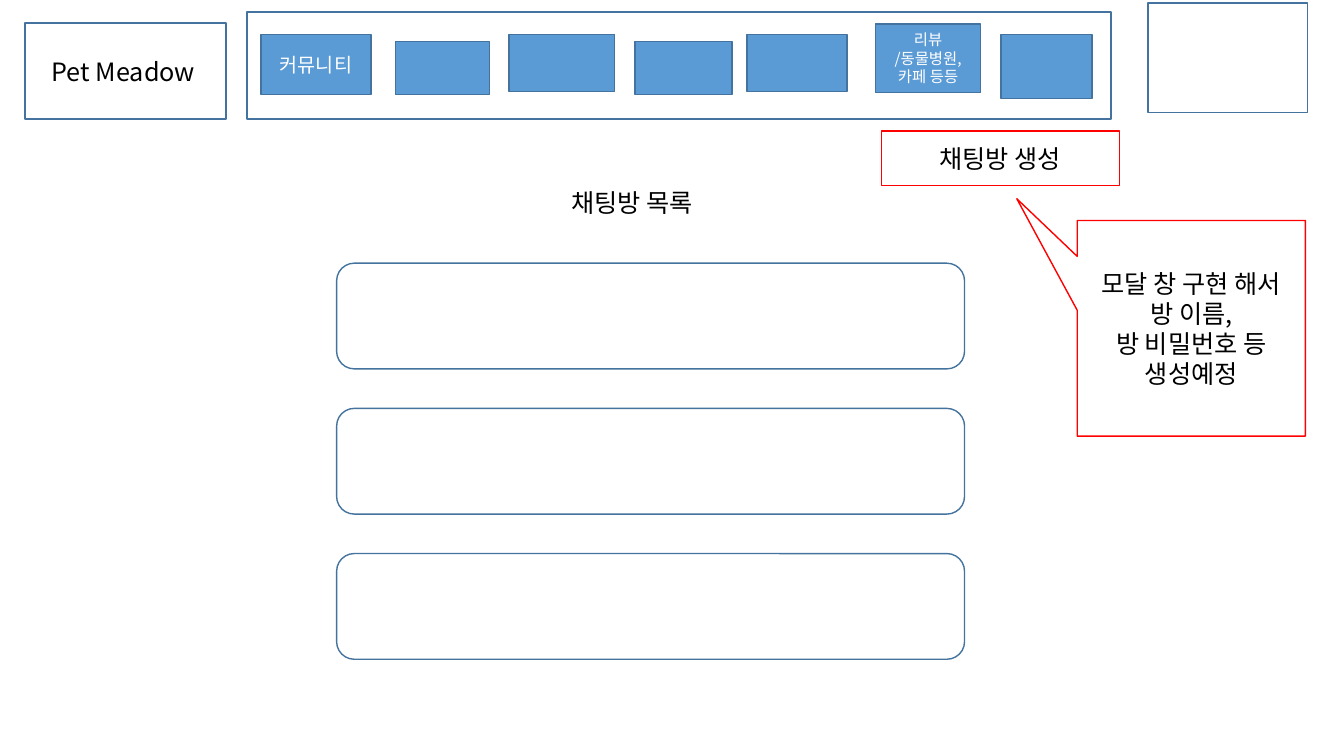
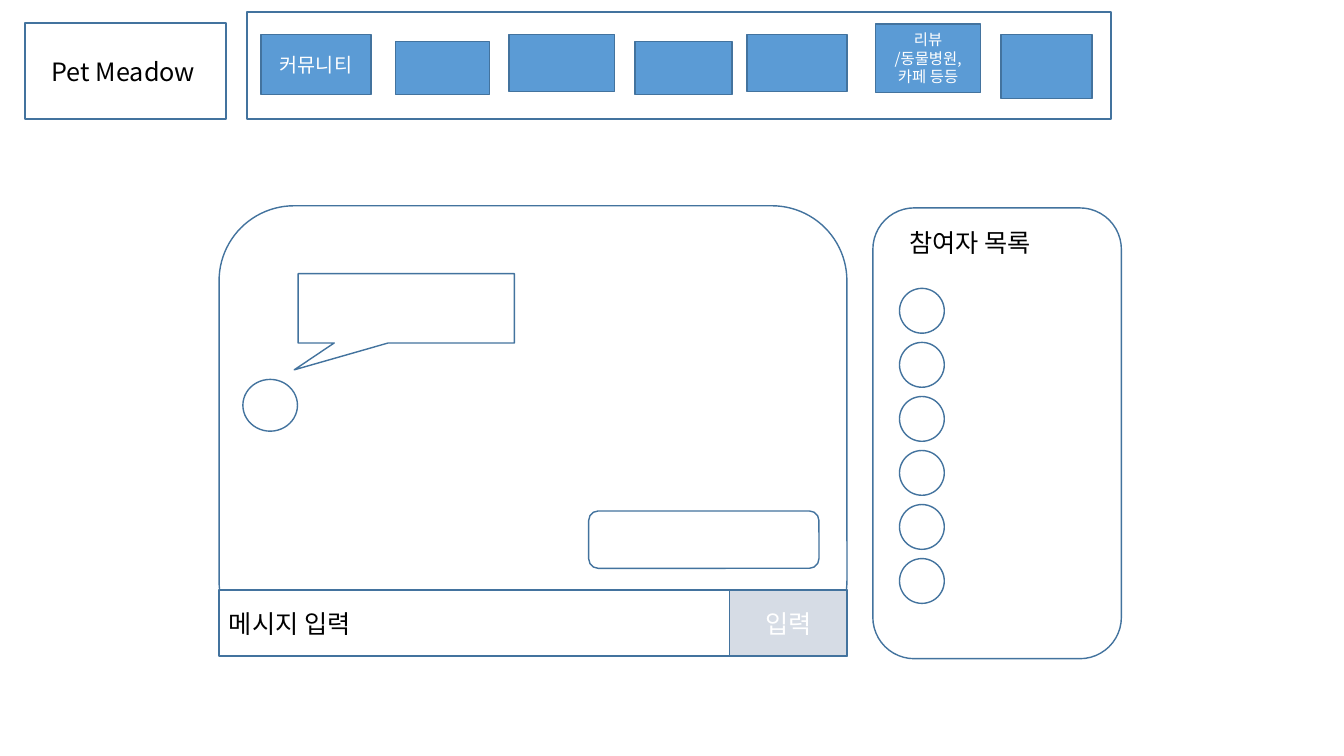
from typing import NamedTuple

from lxml.etree import SubElement
from pptx import Presentation
from pptx.dml.color import RGBColor
from pptx.enum.shapes import MSO_SHAPE as Shape
from pptx.enum.text import MSO_ANCHOR as Anchor, MSO_AUTO_SIZE as AutoSize, PP_ALIGN as Align
from pptx.oxml.ns import qn
from pptx.util import Pt

FONT = "Noto Sans CJK KR"
BLACK = RGBColor(0x00, 0x00, 0x00)
WHITE = RGBColor(0xFF, 0xFF, 0xFF)
BLUE = RGBColor(0x5B, 0x9B, 0xD5)
BORDER = RGBColor(0x43, 0x73, 0x9E)
RED = RGBColor(0xFF, 0x00, 0x00)
GREY = RGBColor(0xD6, 0xDC, 0xE5)

NAV_BUTTONS = [
    (10, 16, 78.5, 43, "커뮤니티", 14),
    (106, 21, 67, 38, "", 14),
    (187, 16, 75.5, 41, "", 14),
    (277, 21, 69.5, 38, "", 14),
    (357, 16, 71.5, 41, "", 14),
    (449, 8.5, 75, 49, "리뷰\n/동물병원, 카페 등등", 11),
    (538.5, 16, 65, 46, "", 14),
]


class Box(NamedTuple):
    left: float
    top: float
    width: float
    height: float

    def inner(self, left, top, width, height):
        return Box(self.left + left, self.top + top, width, height)


def apply(target, formats):
    for name, value in formats.items():
        setattr(target, name, value)


def write(shape, text, size=18, color=BLACK, align=Align.CENTER, anchor=Anchor.MIDDLE, indent=7.2):
    frame = shape.text_frame
    frame.text = text
    apply(frame, {
        "word_wrap": True,
        "auto_size": AutoSize.NONE,
        "vertical_anchor": anchor,
        "margin_left": Pt(indent),
        "margin_right": Pt(7.2),
        "margin_top": Pt(3.6),
        "margin_bottom": Pt(3.6),
    })
    for para in frame.paragraphs:
        para.alignment = align
        for span in para.runs:
            apply(span.font, {"name": FONT, "size": Pt(size), "bold": False})
            span.font.color.rgb = color
    for properties in shape.element.iter(qn("a:rPr")):
        SubElement(properties, qn("a:ea"), typeface=FONT)


def add_box(page, kind, box, text="", fill=None, line=BORDER, adjust=(), **style):
    shape = page.shapes.add_shape(kind, *map(Pt, box))
    shape.shadow.inherit = False
    if fill is None:
        shape.fill.background()
    else:
        shape.fill.solid()
        shape.fill.fore_color.rgb = fill
    shape.line.color.rgb = line
    shape.line.width = Pt(1)
    for index, value in enumerate(adjust):
        shape.adjustments[index] = value
    if text:
        write(shape, text, **style)


def place_title(page, box, text):
    title = page.shapes.title
    apply(title, dict(zip(("left", "top", "width", "height"), map(Pt, box))))
    write(title, text, align=Align.LEFT, anchor=Anchor.TOP)
    title.element.getparent().append(title.element)


def add_header(page, box):
    add_box(page, Shape.RECTANGLE, box.inner(0, 8, 143.5, 68.5), "Pet Meadow",
            align=Align.LEFT, indent=19)
    nav = box.inner(158.5, 0, 617, 76.5)
    add_box(page, Shape.RECTANGLE, nav)
    for left, top, width, height, label, size in NAV_BUTTONS:
        add_box(page, Shape.RECTANGLE, nav.inner(left, top, width, height), label,
                fill=BLUE, size=size, color=WHITE)


def add_room_list(page, box):
    place_title(page, box.inner(160.5, 0, 121, 29), "채팅방 목록")
    for index in range(3):
        add_box(page, Shape.ROUNDED_RECTANGLE,
                box.inner(0, 57.5 + 103.7 * index, box.width, 75.5), fill=WHITE)


def add_room_creation(page, box):
    add_box(page, Shape.RECTANGLE, box.inner(0, 0, 170, 39), "채팅방 생성", line=RED)
    add_box(page, Shape.RECTANGULAR_CALLOUT, box.inner(140, 64, 163, 154),
            "모달 창 구현 해서\v방 이름,\v방 비밀번호 등\v생성예정",
            line=RED, adjust=(-0.765, -0.601))


def add_chat(page, box):
    add_box(page, Shape.ROUNDED_RECTANGLE, box, fill=WHITE)
    entry = box.inner(0, box.height - 47, box.width, 47)
    add_box(page, Shape.RECTANGLE, entry, "메시지 입력", fill=WHITE, align=Align.LEFT)
    add_box(page, Shape.RECTANGLE, entry.inner(entry.width - 84, 0, 84, 47), "입력",
            fill=GREY, color=WHITE)
    add_box(page, Shape.RECTANGULAR_CALLOUT, box.inner(56.5, 48.5, 154.5, 49.5),
            fill=WHITE, adjust=(-0.518, 0.888))
    add_box(page, Shape.OVAL, box.inner(17, 124, 39, 37), fill=WHITE)
    add_box(page, Shape.ROUNDED_RECTANGLE, box.inner(264, 218, 164.5, 41), fill=WHITE)


def add_participants(page, box):
    add_box(page, Shape.ROUNDED_RECTANGLE, box, fill=WHITE)
    place_title(page, box.inner(19, 10.5, 128, 29), "참여자 목록")
    for index in range(6):
        add_box(page, Shape.OVAL, box.inner(19, 57.5 + 38.6 * index, 32, 32), fill=WHITE)


def add_page(deck):
    page = deck.slides.add_slide(deck.slide_layouts[5])
    add_header(page, Box(18, 8.5, 775.5, 76.5))
    return page


def add_lobby_page(deck):
    page = add_page(deck)
    add_box(page, Shape.RECTANGLE, Box(820, 2, 114, 78.5))
    add_room_creation(page, Box(629.5, 93.5, 303, 218))
    add_room_list(page, Box(240.5, 130.5, 448.5, 340.5))


def add_room_page(deck):
    page = add_page(deck)
    add_chat(page, Box(156.5, 147, 448.5, 321.5))
    add_participants(page, Box(623.5, 148.5, 177.5, 322))


def main():
    deck = Presentation()
    apply(deck, {"slide_width": Pt(960), "slide_height": Pt(540)})
    add_lobby_page(deck)
    add_room_page(deck)
    deck.save("out.pptx")


if __name__ == "__main__":
    main()
